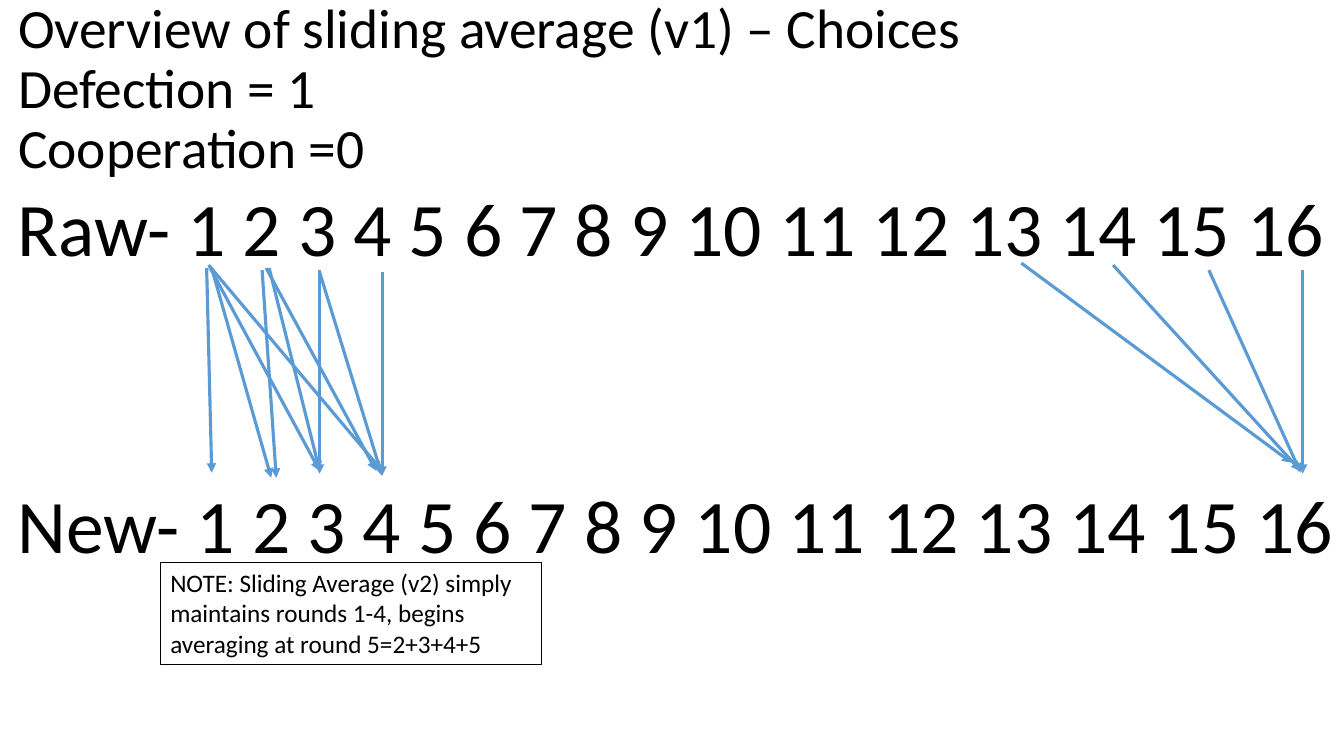
from lxml import etree
from pptx import Presentation
from pptx.dml.color import RGBColor
from pptx.enum import shapes, text
from pptx.oxml import ns
from pptx.util import Inches, Pt

COLORS = {"text": "000000", "arrow": "5B9BD5"}
FONT = "Calibri"
ROUNDS = " ".join(str(n) for n in range(1, 17))
TITLE = ["Overview of sliding average (v1) – Choices", "Defection = 1", "Cooperation =0"]
NOTE = ("NOTE: Sliding Average (v2) simply maintains rounds 1-4, "
        "begins averaging at round 5=2+3+4+5")
FIRST_ROUNDS = [
    (0, 0.05, 0.05, 2.08), (0.05, 0.05, 0.64, 2.13),
    (0.55, 0.07, 0.69, 2.13), (1.12, 0.07, 1.12, 2.09),
    (0.62, 0.05, 1.12, 2.06), (0.03, 0.04, 1.12, 2.06),
    (1.74, 0.09, 1.74, 2.11), (1.12, 0.09, 1.74, 2.11),
    (0.59, 0.05, 1.68, 2.06), (0.02, 0.02, 1.74, 2.06),
]
LAST_ROUND = [
    (2.79, 0.07, 2.79, 2.09), (1.86, 0.07, 2.77, 2.08),
    (0.91, 0.02, 2.77, 2.06), (0, 0, 2.68, 1.98),
]


def add_run(p, wording, size):
    """Add one run in the slide's font and text colour."""
    r = p.add_run()
    r.text = wording
    r.font.name = FONT
    r.font.size = Pt(size)
    r.font.color.rgb = RGBColor.from_string(COLORS["text"])


def add_title(s, x, y, w, h):
    """Place the three-line title in its placeholder."""
    sp = s.shapes.title
    sp.left, sp.top, sp.width, sp.height = map(Inches, (x, y, w, h))
    tf = sp.text_frame
    tf.word_wrap = True
    tf.auto_size = text.MSO_AUTO_SIZE.NONE
    tf.vertical_anchor = text.MSO_ANCHOR.MIDDLE
    p = tf.paragraphs[0]
    p.alignment = text.PP_ALIGN.LEFT
    p.line_spacing = 0.9
    for i, line in enumerate(TITLE):
        if i:
            p.add_line_break()
        add_run(p, line, 39.6)


def add_text(s, wording, size, x, y, w, h):
    """Add a wrapped text box and return it."""
    sp = s.shapes.add_textbox(*map(Inches, (x, y, w, h)))
    tf = sp.text_frame
    tf.word_wrap = True
    tf.auto_size = text.MSO_AUTO_SIZE.SHAPE_TO_FIT_TEXT
    add_run(tf.paragraphs[0], wording, size)
    return sp


def add_arrows(s, arrows, x, y):
    """Draw arrows whose ends are offsets from the given corner."""
    for x1, y1, x2, y2 in arrows:
        ends = map(Inches, (x + x1, y + y1, x + x2, y + y2))
        c = s.shapes.add_connector(shapes.MSO_CONNECTOR.STRAIGHT, *ends)
        c.line.color.rgb = RGBColor.from_string(COLORS["arrow"])
        c.line.width = Pt(2.25)
        etree.SubElement(c.line._get_or_add_ln(), ns.qn("a:tailEnd"), type="triangle")
        etree.SubElement(c._element.spPr, ns.qn("a:effectLst"))


def add_note(s, x, y, w, h):
    """Add the outlined note under the new rounds."""
    sp = add_text(s, NOTE, 18, x, y, w, h)
    sp.line.color.rgb = RGBColor.from_string(COLORS["text"])
    sp.line.width = Pt(0.75)


def main():
    """Build and save the slide."""
    prs = Presentation()
    prs.slide_width, prs.slide_height = Inches(13.33), Inches(7.5)
    s = prs.slides.add_slide(prs.slide_layouts[5])
    add_title(s, 0.08, 0.17, 11.5, 1.45)
    for label, y in (("Raw-", 1.75), ("New-", 4.69)):
        add_text(s, f"{label} {ROUNDS}", 54, 0.08, y, 13.33, 1.01)
    add_arrows(s, FIRST_ROUNDS, 2.05, 2.61)
    add_arrows(s, LAST_ROUND, 10.13, 2.61)
    add_note(s, 1.59, 5.58, 3.78, 1.01)
    prs.save("out.pptx")


if __name__ == "__main__":
    main()
